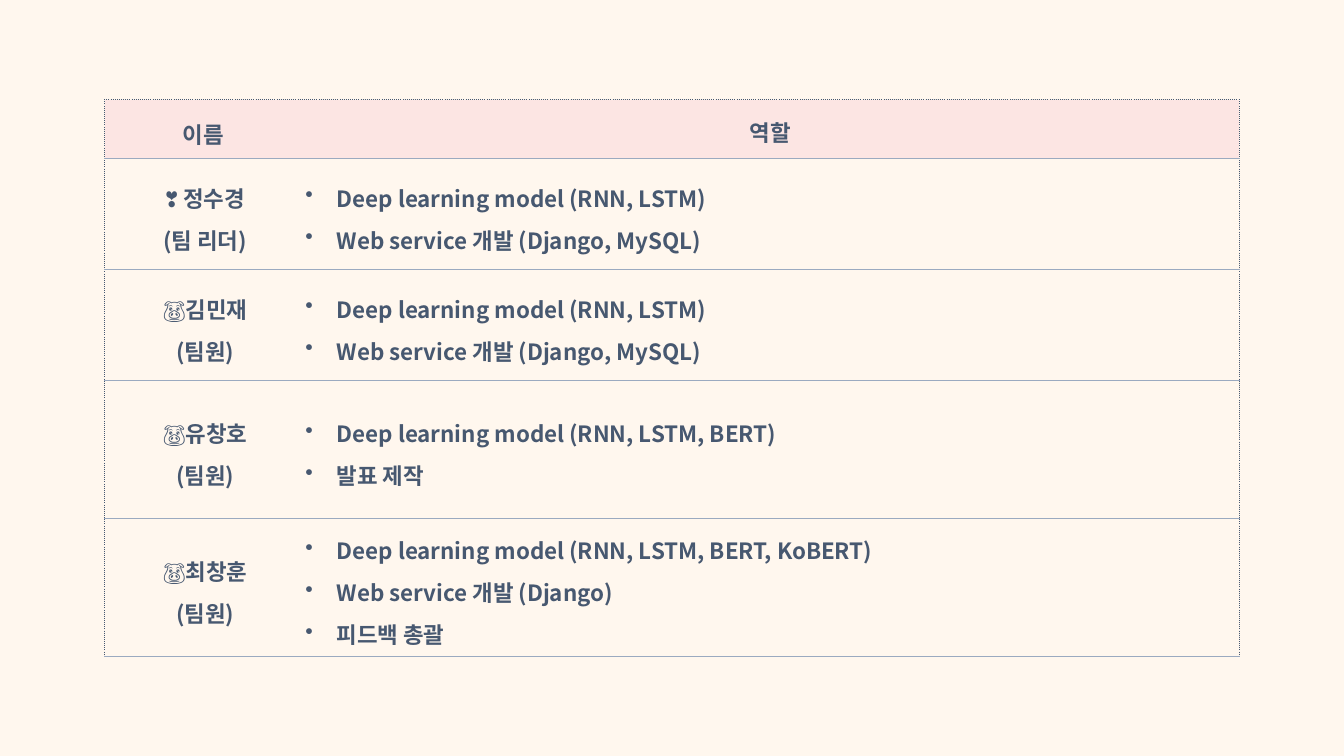
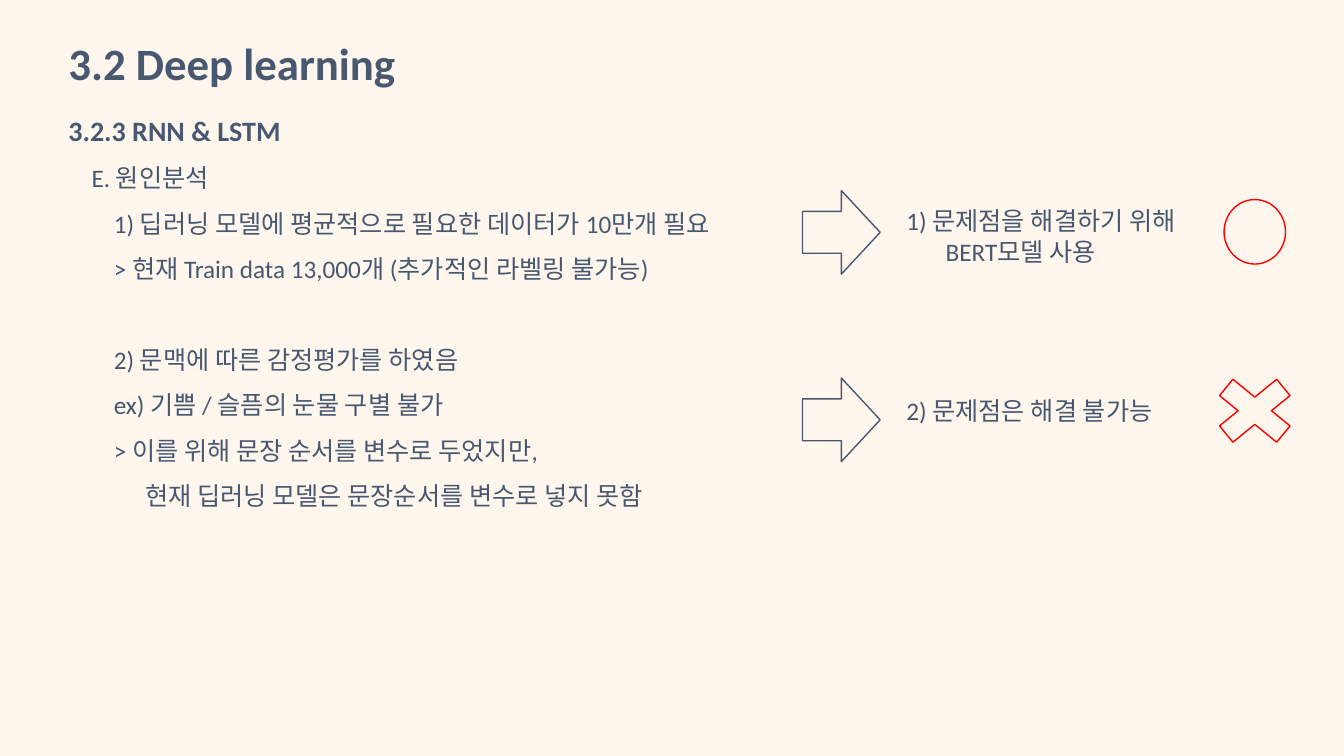
from dataclasses import dataclass
from typing import Optional

from lxml import etree
from pptx import Presentation
from pptx.dml.color import RGBColor
from pptx.enum.shapes import MSO_SHAPE
from pptx.enum.text import MSO_ANCHOR, MSO_AUTO_SIZE, PP_ALIGN
from pptx.oxml.ns import qn
from pptx.util import Inches, Pt

CENTER = PP_ALIGN.CENTER
MIDDLE = MSO_ANCHOR.MIDDLE
FIT_SHAPE = MSO_AUTO_SIZE.SHAPE_TO_FIT_TEXT
DOWN_ARROW = MSO_SHAPE.DOWN_ARROW
OVAL = MSO_SHAPE.OVAL
MULTIPLY = MSO_SHAPE.MATH_MULTIPLY

CREAM, PINK, SLATE, RULE, RED = "FFF7EE", "FCE5E3", "475870", "9BAAC0", "FF0000"
LATIN, KOREAN = "Calibri", "Noto Sans CJK KR"


@dataclass(frozen=True)
class Span:
    text: str
    size: int = 18
    font: str = LATIN
    bold: bool = False


@dataclass(frozen=True)
class Para:
    spans: tuple[Span, ...]
    spacing: Optional[float] = None
    before: float = 0
    left: float = 0
    hanging: float = 0
    bullet: bool = False
    align: Optional[PP_ALIGN] = None


@dataclass(frozen=True)
class Border:
    color: str
    width: float
    dash: str = "solid"


@dataclass(frozen=True)
class Member:
    icon: str
    name: str
    position: str
    roles: tuple[str, ...]
    height: float


@dataclass(frozen=True)
class Mark:
    kind: MSO_SHAPE
    left: float
    top: float
    width: float
    height: float
    color: str
    rotation: int = 0


DOTTED = Border(SLATE, 1, "sysDot")
THIN = Border(RULE, 0.5)

MEMBERS = (
    Member("❣ ", "정수경", "(팀 리더)",
           ("Deep learning model (RNN, LSTM)", "Web service 개발 (Django, MySQL)"), 1.1),
    Member("🐷", "김민재", "(팀원)",
           ("Deep learning model (RNN, LSTM)", "Web service 개발 (Django, MySQL)"), 1.1),
    Member("🐷", "유창호", "(팀원)",
           ("Deep learning model (RNN, LSTM, BERT)", "발표 제작"), 1.37),
    Member("🐷", "최창훈", "(팀원)",
           ("Deep learning model (RNN, LSTM, BERT, KoBERT)", "Web service 개발 (Django)",
            "피드백 총괄"), 1.37),
)


def rgb(color: str) -> RGBColor:
    return RGBColor.from_string(color)


def write_paras(frame, paras: list[Para]) -> None:
    for index, para in enumerate(paras):
        target = frame.paragraphs[0] if index == 0 else frame.add_paragraph()
        properties = target._p.get_or_add_pPr()
        if para.left:
            properties.set("marL", str(Inches(para.left)))
            properties.set("indent", str(-Inches(para.hanging)))
        if para.bullet:
            etree.SubElement(properties, qn("a:buChar")).set("char", "•")
        if para.spacing:
            target.line_spacing = para.spacing
        if para.before:
            target.space_before = Pt(para.before)
        if para.align is not None:
            target.alignment = para.align
        for span in para.spans:
            run = target.add_run()
            run.text = span.text
            run.font.size = Pt(span.size)
            run.font.bold = span.bold
            run.font.color.rgb = rgb(SLATE)
            run.font.name = span.font
            east_asian = etree.Element(qn("a:ea"))
            east_asian.set("typeface", span.font)
            run.font._element.find(qn("a:latin")).addnext(east_asian)


def add_text(page, left: float, top: float, width: float, height: float,
             paras: list[Para], grow: bool = True) -> None:
    box = page.shapes.add_textbox(Inches(left), Inches(top), Inches(width), Inches(height))
    box.text_frame.word_wrap = True
    if grow:
        box.text_frame.auto_size = FIT_SHAPE
    write_paras(box.text_frame, paras)


def add_mark(page, mark: Mark) -> None:
    shape = page.shapes.add_shape(mark.kind, Inches(mark.left), Inches(mark.top),
                                  Inches(mark.width), Inches(mark.height))
    shape.rotation = mark.rotation
    shape.shadow.inherit = False
    shape.fill.background()
    shape.line.color.rgb = rgb(mark.color)
    shape.line.width = Pt(1)


def set_borders(cell, borders: dict[str, Border]) -> None:
    properties = cell._tc.get_or_add_tcPr()
    for index, side in enumerate(("lnL", "lnR", "lnT", "lnB")):
        line = etree.Element(qn(f"a:{side}"))
        border = borders.get(side)
        if border:
            line.set("w", str(Pt(border.width)))
            fill = etree.SubElement(line, qn("a:solidFill"))
            etree.SubElement(fill, qn("a:srgbClr")).set("val", border.color)
            etree.SubElement(line, qn("a:prstDash")).set("val", border.dash)
        else:
            etree.SubElement(line, qn("a:noFill"))
        properties.insert(index, line)


def fill_cell(table, row: int, column: int, paras: list[Para]) -> None:
    cell = table.cell(row, column)
    header = row == 0
    cell.vertical_anchor = MIDDLE
    cell.margin_left = Inches(0 if header else 0.04)
    cell.margin_right = cell.margin_top = cell.margin_bottom = Inches(0)
    if header:
        cell.fill.solid()
        cell.fill.fore_color.rgb = rgb(PINK)
    else:
        cell.fill.background()
    set_borders(cell, {
        "lnL" if column == 0 else "lnR": DOTTED,
        "lnT": DOTTED if header else THIN,
        "lnB": THIN,
    })
    write_paras(cell.text_frame, paras)


def table_span(text: str) -> Span:
    return Span(text, 16, KOREAN, True)


def build_team_page(page) -> None:
    heights = [0.58] + [member.height for member in MEMBERS]
    widths = (1.95, 9.3)
    frame = page.shapes.add_table(len(heights), len(widths), Inches(1.04), Inches(0.99),
                                  Inches(sum(widths)), Inches(sum(heights)))
    table = frame.table
    table.first_row = table.horz_banding = False
    for column, width in zip(table.columns, widths):
        column.width = Inches(width)
    for row, height in zip(table.rows, heights):
        row.height = Inches(height)
    for column, (label, spacing) in enumerate((("이름", 1.3), ("역할", 1.2))):
        fill_cell(table, 0, column, [Para((table_span(label),), spacing, align=CENTER)])
    for row, member in enumerate(MEMBERS, start=1):
        name = (Span(member.icon, 16), table_span(member.name))
        fill_cell(table, row, 0, [
            Para(spans, 1.3, align=CENTER)
            for spans in (name, (table_span(member.position),))
        ])
        fill_cell(table, row, 1, [
            Para((table_span(role),), 1.3, left=0.31, hanging=0.31, bullet=True)
            for role in member.roles
        ])


def build_analysis_page(page) -> None:
    add_text(page, 0.58, 0.37, 5.02, 0.71,
             [Para((Span("3.2 Deep learning", 32, bold=True),), 0.9)], grow=False)
    causes = (
        ("E. 원인분석", 0.23, 0),
        ("1) 딥러닝 모델에 평균적으로 필요한 데이터가 10만개 필요", 0.45, 0),
        ("> 현재 Train data 13,000개 (추가적인 라벨링 불가능)", 0.45, 0),
        ("2) 문맥에 따른 감정평가를 하였음", 0.45, 32.5),
        ("ex) 기쁨 / 슬픔의 눈물 구별 불가", 0.45, 0),
        ("> 이를 위해 문장 순서를 변수로 두었지만,", 0.45, 0),
        ("현재 딥러닝 모델은 문장순서를 변수로 넣지 못함", 0.76, 0),
    )
    add_text(page, 0.58, 1.08, 9.02, 4.02,
             [Para((Span("3.2.3 RNN & LSTM", 20, bold=True),))]
             + [Para((Span(text),), 1.5, before, left) for text, left, before in causes])
    marks = [Mark(DOWN_ARROW, 7.93, top, 0.83, 0.77, SLATE, 270) for top in (1.92, 3.78)]
    marks += [Mark(MULTIPLY, 11.9, 3.63, 1.09, 0.89, RED),
              Mark(OVAL, 12.14, 1.98, 0.61, 0.64, RED)]
    for mark in marks:
        add_mark(page, mark)
    add_text(page, 8.89, 1.99, 3.39, 0.71, [
        Para((Span("1) 문제점을 해결하기 위해"),)),
        Para((Span("BERT모델 사용"),), left=0.39),
    ])
    add_text(page, 8.89, 3.87, 3.39, 0.4, [Para((Span("2) 문제점은 해결 불가능"),))])


def main() -> None:
    deck = Presentation()
    deck.slide_width, deck.slide_height = Inches(13.33), Inches(7.5)
    background = deck.slide_master.background.fill
    background.solid()
    background.fore_color.rgb = rgb(CREAM)
    for build in (build_team_page, build_analysis_page):
        build(deck.slides.add_slide(deck.slide_layouts[6]))
    deck.save("out.pptx")


if __name__ == "__main__":
    main()
